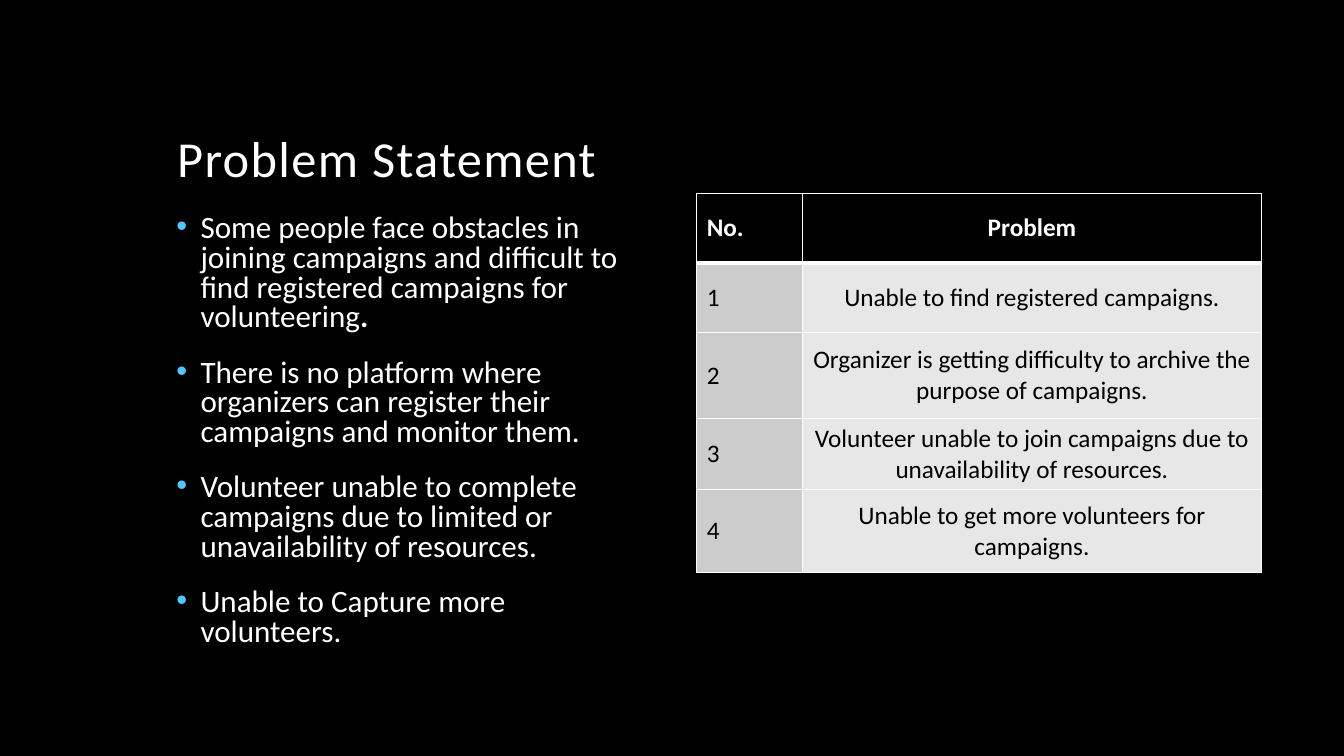
import pptx
import pptx.util
import pptx.dml.color
import pptx.enum.text
import pptx.oxml.ns
from lxml import etree

COLORS = {
    "black": "000000",
    "white": "FFFFFF",
    "bullet": "56C5FF",
    "number": "CCCCCC",
    "problem": "E7E7E7",
}
ANCHOR = pptx.enum.text.MSO_ANCHOR
ALIGN = pptx.enum.text.PP_ALIGN

OBSTACLES = [
    [("Some people face obstacles in joining campaigns and difficult to find "
      "registered campaigns for volunteering", False), (".", True)],
    [("There is no platform where organizers can register their campaigns "
      "and monitor them.", False)],
    [("Volunteer unable to complete campaigns due to limited or "
      "unavailability of resources.", False)],
    [("Unable to Capture more volunteers.", False)],
]
PROBLEMS = [
    "Unable to find registered campaigns.",
    "Organizer is getting difficulty to archive the purpose of campaigns.",
    "Volunteer unable to join campaigns due to unavailability of resources.",
    "Unable to get more volunteers for campaigns.",
]


def rgb(name):
    return pptx.dml.color.RGBColor.from_string(COLORS[name])


def add_element(parent, tag, **attributes):
    return etree.SubElement(parent, pptx.oxml.ns.qn(tag), **attributes)


class ProblemPage:
    font = "Calibri"

    def __init__(self, deck):
        self.width, self.height = deck.slide_width, deck.slide_height
        self.page = deck.slides.add_slide(deck.slide_layouts[6])
        background = self.page.background.fill
        background.solid()
        background.fore_color.rgb = rgb("black")

    def across(self, percent):
        return round(self.width * percent / 100)

    def down(self, percent):
        return round(self.height * percent / 100)

    def place(self, left, top, width, height):
        return (self.across(left), self.down(top),
                self.across(width), self.down(height))

    def span(self, para, text, size, color="white", bold=False):
        span = para.add_run()
        span.text = text
        span.font.name = self.font
        span.font.size = pptx.util.Pt(size)
        span.font.bold = bold
        span.font.color.rgb = rgb(color)
        return span

    def text_box(self, area, anchor):
        frame = self.page.shapes.add_textbox(*self.place(*area)).text_frame
        frame.word_wrap = True
        frame.vertical_anchor = anchor
        return frame

    def title(self, text, area):
        para = self.text_box(area, ANCHOR.BOTTOM).paragraphs[0]
        para.line_spacing = 0.9
        span = self.span(para, text, 36)
        span.font._element.set("spc", "100")

    def bullets(self, items, area):
        frame = self.text_box(area, ANCHOR.TOP)
        indent = pptx.util.Inches(0.24)
        for index, item in enumerate(items):
            para = frame.add_paragraph() if index else frame.paragraphs[0]
            para.line_spacing = 0.8
            para.space_before = pptx.util.Pt(18 if index else 0)
            settings = para._p.get_or_add_pPr()
            settings.set("marL", str(indent))
            settings.set("indent", str(-indent))
            color = add_element(settings, "a:buClr")
            add_element(color, "a:srgbClr", val=COLORS["bullet"])
            add_element(settings, "a:buFont", typeface="Arial")
            add_element(settings, "a:buChar", char="•")
            for text, bold in item:
                self.span(para, text, 22.2, bold=bold)

    def borders(self, cell, **points):
        settings = cell._tc.get_or_add_tcPr()
        for side in "LRTB":
            width = pptx.util.Pt(points.get(side, 1))
            line = add_element(settings, f"a:ln{side}", w=str(width))
            fill = add_element(line, "a:solidFill")
            add_element(fill, "a:srgbClr", val=COLORS["white"])

    def table(self, rows, left, top, widths, heights):
        area = self.place(left, top, sum(widths), sum(heights))
        table = self.page.shapes.add_table(len(rows), len(widths), *area).table
        table.horz_banding = False
        for column, width in zip(table.columns, widths):
            column.width = self.across(width)
        for row, height in zip(table.rows, heights):
            row.height = self.down(height)
        for row_index, row in enumerate(rows):
            header = row_index == 0
            edges = {"B": 3} if header else {"T": 3} if row_index == 1 else {}
            for column_index, text in enumerate(row):
                cell = table.cell(row_index, column_index)
                cell.vertical_anchor = ANCHOR.MIDDLE
                self.borders(cell, **edges)
                body_fill = ("number", "problem")[column_index]
                cell.fill.solid()
                cell.fill.fore_color.rgb = rgb("black" if header else body_fill)
                para = cell.text_frame.paragraphs[0]
                para.alignment = (ALIGN.LEFT, ALIGN.CENTER)[column_index]
                self.span(para, text, 18, "white" if header else "black", header)


def main():
    deck = pptx.Presentation()
    deck.slide_width = pptx.util.Inches(13.33)
    deck.slide_height = pptx.util.Inches(7.5)
    page = ProblemPage(deck)
    page.title("Problem Statement", (12.45, 5.6, 75, 20))
    page.bullets(OBSTACLES, (12.38, 27.73, 36.23, 60))
    numbered = [(str(number), text) for number, text in enumerate(PROBLEMS, 1)]
    page.table([("No.", "Problem")] + numbered, 51.84, 25.6,
               (7.88, 34.13), (9.2, 9.2, 11.33, 9.47, 10.93))
    deck.save("out.pptx")


if __name__ == "__main__":
    main()
